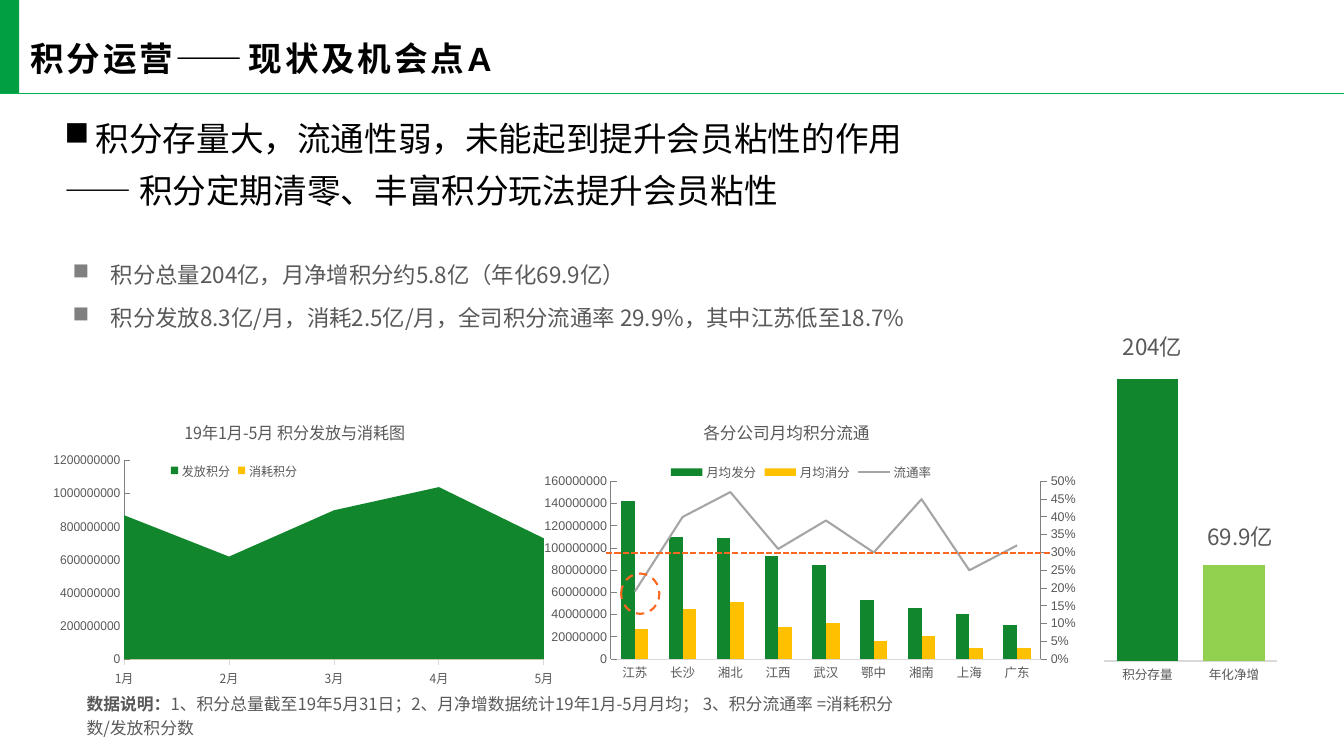
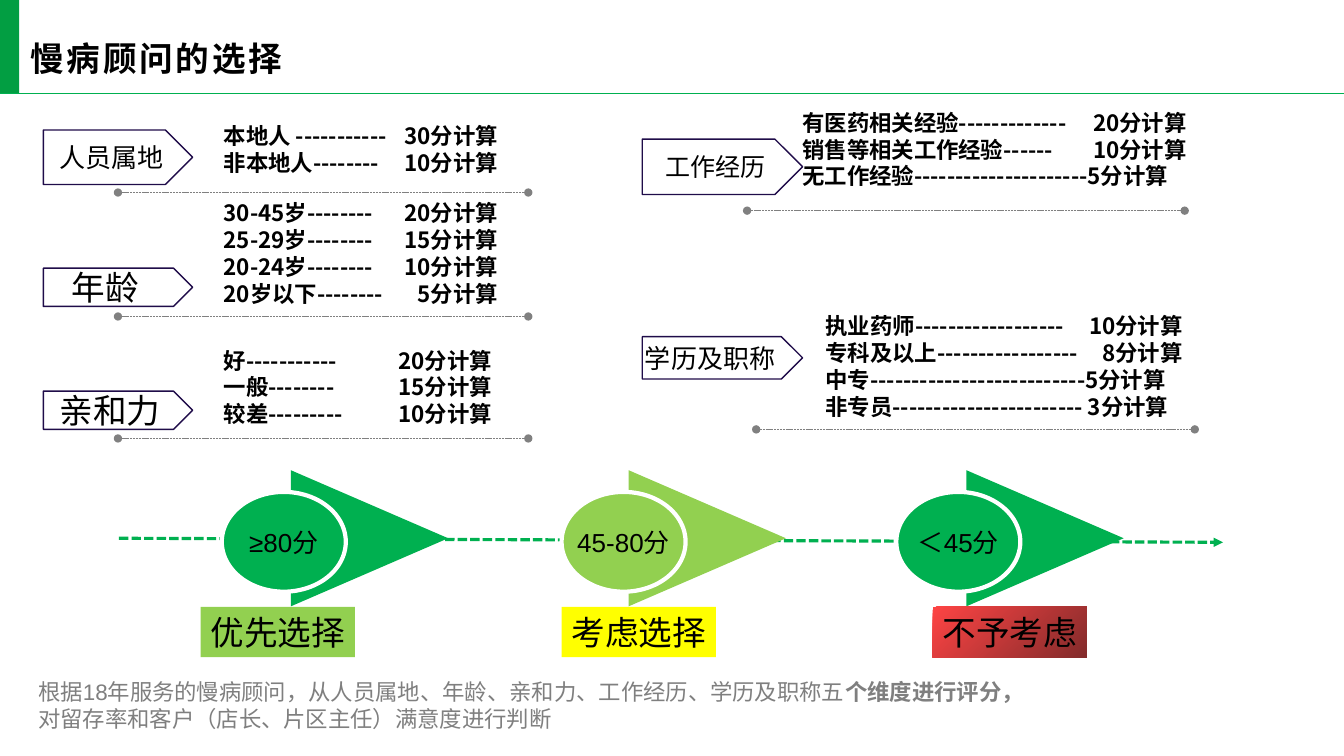
from dataclasses import dataclass

from lxml import etree
from pptx import Presentation
from pptx import util as u
from pptx.chart import data as chart_data
from pptx.dml import color
from pptx.enum import chart as charts, dml, shapes, text
from pptx.oxml import ns, parse_xml


@dataclass(frozen=True)
class Theme:
    latin: str = "Arial"
    cjk: str = "Noto Sans CJK SC"
    black: str = "000000"
    white: str = "FFFFFF"
    ink: str = "595959"
    grey: str = "808080"
    note: str = "7F7F7F"
    pale: str = "D9D9D9"
    band: str = "029E42"
    green: str = "00B050"
    lime: str = "92D050"
    deep: str = "11862D"
    gold: str = "FFC000"
    silver: str = "A5A5A5"
    orange: str = "FA6720"
    navy: str = "1F0C49"
    yellow: str = "FFFF00"
    red: str = "FE4444"
    maroon: str = "832B2B"
    heading: float = 24
    label: float = 18.6
    body: float = 16
    small: float = 12
    tick: float = 9


T = Theme()
CENTER = text.PP_ALIGN.CENTER
DASH, SYS_DASH = dml.MSO_LINE.DASH, dml.MSO_LINE.SQUARE_DOT
TICK = charts.XL_TICK_MARK

HEADLINE = ["积分存量大，流通性弱，未能起到提升会员粘性的作用", "—— 积分定期清零、丰富积分玩法提升会员粘性"]
FACTS = ["积分总量204亿，月净增积分约5.8亿（年化69.9亿）",
         "积分发放8.3亿/月，消耗2.5亿/月，全司积分流通率 29.9%，其中江苏低至18.7%"]
DATA_NOTE = [[("数据说明：", True),
              ("1、积分总量截至19年5月31日；2、月净增数据统计19年1月-5月月均； 3、积分流通率 =消耗积分数/发放积分数", False)]]
BAR_LABELS = [("204亿", 10.84, 3.26), ("69.9亿", 11.71, 5.14)]

MONTHS = ["1月", "2月", "3月", "4月", "5月"]
MONTHLY = [("发放积分", [870000000, 620000000, 900000000, 1040000000, 730000000]),
           ("消耗积分", [380000000, 180000000, 240000000, 210000000, 230000000])]
BRANCHES = ["江苏", "长沙", "湘北", "江西", "武汉", "鄂中", "湘南", "上海", "广东"]
BRANCH_FLOW = [
    ("月均发分", [142000000, 110000000, 109000000, 93000000, 85000000, 53000000, 46000000, 41000000, 31000000]),
    ("月均消分", [27000000, 45000000, 51000000, 29000000, 33000000, 16000000, 21000000, 10000000, 10000000]),
    ("流通率", [0.19, 0.4, 0.47, 0.31, 0.39, 0.3, 0.45, 0.25, 0.32])]
STOCK = [("Series 1", [100, 34])]

CRITERIA = [
    dict(name="人员属地", tag=(0.43, 1.29, 1.48, 0.54), size=T.label, trim=0, rule=(1.17, 5.24, 1.91),
         at=(2.12, 1.16, 3.55, 0.64), tab=2.72, rows=["本地人 -----------\t30分计算", "非本地人--------\t10分计算"]),
    dict(name="年龄", tag=(0.43, 2.66, 1.48, 0.38), size=T.heading, trim=0.16, rule=(1.17, 5.24, 3.14),
         at=(2.12, 1.93, 3.55, 1.18), tab=2.72,
         rows=["30-45岁--------\t20分计算", "25-29岁--------\t15分计算",
               "20-24岁--------\t10分计算", "20岁以下--------\t5分计算"]),
    dict(name="亲和力", tag=(0.43, 3.88, 1.48, 0.38), size=T.heading, trim=0.06, rule=(1.17, 5.24, 4.35),
         at=(2.12, 3.39, 3.55, 0.91), tab=2.66,
         rows=["好-----------\t20分计算", "一般--------\t15分计算", "较差---------\t10分计算"]),
    dict(name="工作经历", tag=(6.37, 1.38, 1.59, 0.55), size=17.9, trim=0, rule=(7.41, 11.75, 2.09),
         at=(7.86, 1.03, 4.19, 0.91), tab=3.81,
         rows=["有医药相关经验-------------\t20分计算", "销售等相关工作经验------\t10分计算",
               "无工作经验---------------------5分计算"]),
    dict(name="学历及职称", tag=(6.37, 3.34, 1.59, 0.42), size=T.label, trim=0.14, rule=(7.5, 11.85, 4.26),
         at=(8.09, 3.05, 3.98, 1.18), tab=3.54,
         rows=["执业药师------------------\t10分计算", "专科及以上-----------------\t8分计算",
               "中专--------------------------5分计算", "非专员----------------------- 3分计算"]),
]
GRADES = [("≥80分", 2.2, T.green, "优先选择", 1.99, [T.lime]),
          ("45-80分", 5.57, T.lime, "考虑选择", 5.57, [T.yellow]),
          ("＜45分", 8.89, T.green, "不予考虑", 9.25, [T.red, T.maroon])]
FIRST_WEDGE, WEDGE_STEP = 2.99, 3.35
SCORE_NOTE = [[("根据18年服务的慢病顾问，从人员属地、年龄、亲和力、工作经历、学历及职称五", False),
               ("个维度进行评分，", True)],
              [("对留存率和客户（店长、片区主任）满意度进行判断", False)]]


def rgb(value):
    return color.RGBColor.from_string(value)


def inches(values):
    return [u.Inches(value) for value in values]


def style(font, size, tint, name, bold=None):
    font.size, font.name, font.bold = u.Pt(size), name, bold
    font.color.rgb = rgb(tint)


def element(tag, **attributes):
    item = etree.Element(ns.qn(tag))
    for key, value in attributes.items():
        item.set(key, str(value))
    return item


def add_bullet(para, indent, tint):
    props = para._p.get_or_add_pPr()
    props.set("marL", str(u.Inches(indent)))
    props.set("indent", str(-u.Inches(indent)))
    shade = element("a:buClr")
    shade.append(element("a:srgbClr", val=tint))
    props.extend([shade, element("a:buChar", char="■")])


def add_tab(para, position):
    stops = element("a:tabLst")
    stops.append(element("a:tab", pos=u.Inches(position), algn="r"))
    para._p.get_or_add_pPr().append(stops)


def write(shape, paras, size, tint, name=T.cjk, bold=None, align=None, spacing=None, before=0,
          bullets=(), tab=None, insets=(0.1, 0.05, 0.1, 0.05), wrap=True, middle=False):
    frame = shape.text_frame
    frame.word_wrap = wrap
    frame.margin_left, frame.margin_top, frame.margin_right, frame.margin_bottom = inches(insets)
    frame.vertical_anchor = text.MSO_ANCHOR.MIDDLE if middle else text.MSO_ANCHOR.TOP
    for index, content in enumerate(paras):
        para = frame.add_paragraph() if index else frame.paragraphs[0]
        if index < len(bullets):
            add_bullet(para, *bullets[index])
        if tab and "\t" in content:
            add_tab(para, tab)
        para.alignment, para.line_spacing = align, spacing
        if index and before:
            para.space_before = u.Pt(before)
        style(para.font, size, tint, name, bold)
        for words, strong in [(content, None)] if isinstance(content, str) else content:
            span = para.add_run()
            span.text = words
            if strong is not None:
                span.font.bold = strong
    return frame


def add_text(page, at, paras, size, tint, **options):
    return write(page.shapes.add_textbox(*inches(at)), paras, size, tint, **options)


def add_shape(page, kind, at, fills=(), line=None, width=1, dash=None):
    shape = page.shapes.add_shape(kind, *inches(at))
    shape.shadow.inherit = False
    if len(fills) == 2:
        shape.fill.gradient()
        shape.fill.gradient_angle = 315
        for stop, tint in zip(shape.fill.gradient_stops, fills):
            stop.color.rgb = rgb(tint)
    elif fills:
        shape.fill.solid()
        shape.fill.fore_color.rgb = rgb(fills[0])
    else:
        shape.fill.background()
    if line:
        shape.line.color.rgb, shape.line.width = rgb(line), u.Pt(width)
        shape.line.dash_style = dash
    else:
        shape.line.fill.background()
    return shape


def add_line(page, ends, tint, width, dash=None, head=None, tail=None):
    line = page.shapes.add_connector(shapes.MSO_CONNECTOR.STRAIGHT, *inches(ends))
    line.line.color.rgb, line.line.width = rgb(tint), u.Pt(width)
    line.line.dash_style = dash
    props = line.element.find(ns.qn("p:spPr"))
    for tag, kind in (("a:headEnd", head), ("a:tailEnd", tail)):
        if kind:
            props.find(ns.qn("a:ln")).append(element(tag, type=kind))
    props.append(element("a:effectLst"))


def add_page(deck, title):
    page = deck.slides.add_slide(deck.slide_layouts[6])
    add_shape(page, shapes.MSO_SHAPE.RECTANGLE, (0, -0.01, 0.19, 0.94), [T.band])
    add_line(page, (0, 0.93, 13.33, 0.93), T.green, 1)
    frame = add_text(page, (0.19, 0.22, 5.88, 0.71), [title], T.heading, T.black, name=T.latin,
                     bold=True, insets=(0.11, 0.04, 0.08, 0.04), middle=True)
    frame.paragraphs[0]._p.pPr.find(ns.qn("a:defRPr")).set("spc", "200")
    return page


def place(parent, index, **edges):
    for old in parent.findall(ns.qn("c:layout")):
        parent.remove(old)
    layout, manual = element("c:layout"), element("c:manualLayout")
    layout.append(manual)
    if "w" in edges:
        manual.append(element("c:layoutTarget", val="inner"))
    for key in ("x", "y"):
        manual.append(element(f"c:{key}Mode", val="edge"))
    for key, value in edges.items():
        manual.append(element(f"c:{key}", val=value))
    parent.insert(index, layout)


def style_axis(axis, tint, tick, name):
    axis.has_major_gridlines = False
    axis.major_tick_mark, axis.minor_tick_mark = tick, TICK.NONE
    axis.format.line.color.rgb, axis.format.line.width = rgb(tint), u.Pt(0.75)
    style(axis.tick_labels.font, T.tick, T.ink, name)


def add_chart(page, kind, at, plot, cats, series, top=None, step=None, cat_tick=TICK.NONE,
              cat_font=T.cjk, title=None, title_x=0, legend_x=0):
    data = chart_data.CategoryChartData(number_format="General")
    data.categories = cats
    for name, values in series:
        data.add_series(name, values)
    chart = page.shapes.add_chart(kind, *inches(at), data).chart
    style(chart.font, 10, T.ink, T.latin)
    root = chart.element.find(ns.qn("c:chart"))
    clear = element("c:spPr")
    clear.append(element("a:noFill"))
    clear.append(element("a:ln"))
    clear[1].append(element("a:noFill"))
    root.addnext(clear)
    place(root.find(ns.qn("c:plotArea")), 0, **dict(zip("xywh", plot)))
    style_axis(chart.category_axis, T.pale, cat_tick, cat_font)
    values = chart.value_axis
    style_axis(values, T.grey, TICK.INSIDE, T.latin)
    values.minimum_scale, values.maximum_scale, values.major_unit = 0, top, step
    chart.has_title = bool(title)
    chart.has_legend = bool(title)
    if title:
        para = chart.chart_title.text_frame.paragraphs[0]
        para.add_run().text = title
        style(para.font, T.small, T.ink, T.cjk, False)
        place(root.find(ns.qn("c:title")), 1, x=title_x, y=0.1)
        chart.legend.position = charts.XL_LEGEND_POSITION.BOTTOM
        chart.legend.include_in_layout = False
        style(chart.legend.font, T.tick, T.ink, T.latin)
        place(root.find(ns.qn("c:legend")), 1, x=legend_x, y=0.24)
    for item, tint in zip(chart.plots[0].series, (T.deep, T.gold)):
        item.format.fill.solid()
        item.format.fill.fore_color.rgb = rgb(tint)
    chart.plots[0].vary_by_categories = False
    return chart


def move_rate_to_line(chart):
    rate = chart.plots[0].series[2]
    rate.format.line.color.rgb, rate.format.line.width = rgb(T.silver), u.Pt(1.5)
    ser = rate._element
    for old in ser.findall(ns.qn("c:invertIfNegative")):
        ser.remove(old)
    marker = element("c:marker")
    marker.append(element("c:symbol", val="none"))
    ser.find(ns.qn("c:spPr")).addnext(marker)
    ser.append(element("c:smooth", val=0))
    area = chart.element.find(".//" + ns.qn("c:plotArea"))
    line = element("c:lineChart")
    line.extend([element("c:grouping", val="standard"), element("c:varyColors", val=0), ser,
                 element("c:marker", val=1), element("c:axId", val=50010), element("c:axId", val=50020)])
    area.find(ns.qn("c:barChart")).addnext(line)
    names = ns.nsdecls("c", "a")
    area.find(ns.qn("c:valAx")).addnext(parse_xml(
        f'<c:valAx {names}><c:axId val="50020"/><c:scaling><c:orientation val="minMax"/>'
        '<c:max val="0.5"/><c:min val="0"/></c:scaling><c:delete val="0"/><c:axPos val="r"/>'
        '<c:numFmt formatCode="0%" sourceLinked="0"/><c:majorTickMark val="out"/>'
        '<c:minorTickMark val="none"/><c:tickLblPos val="nextTo"/><c:spPr><a:ln w="9525"><a:solidFill>'
        f'<a:srgbClr val="{T.grey}"/></a:solidFill></a:ln></c:spPr><c:txPr><a:bodyPr/><a:p><a:pPr>'
        f'<a:defRPr sz="{T.tick * 100}"><a:solidFill><a:srgbClr val="{T.ink}"/></a:solidFill>'
        f'<a:latin typeface="{T.latin}"/></a:defRPr></a:pPr></a:p></c:txPr><c:crossAx val="50010"/>'
        '<c:crosses val="max"/><c:crossBetween val="between"/><c:majorUnit val="0.05"/></c:valAx>'))
    area.find(ns.qn("c:valAx")).addnext(parse_xml(
        f'<c:catAx {names}><c:axId val="50010"/><c:scaling><c:orientation val="minMax"/></c:scaling>'
        '<c:delete val="1"/><c:axPos val="b"/><c:crossAx val="50020"/><c:crosses val="autoZero"/></c:catAx>'))


def build_points(deck):
    page = add_page(deck, "积分运营——现状及机会点A")
    add_text(page, (0.76, 6.79, 8.31, 0.58), DATA_NOTE, T.small, T.ink, spacing=1.2)
    add_text(page, (0.54, 1, 9.15, 1.15), HEADLINE, T.heading, T.black, spacing=1.3,
             bullets=[(0.31, T.black)])
    add_text(page, (0.59, 2.49, 10.41, 1.18), FACTS, T.body, T.ink, spacing=1.1, before=10,
             bullets=[(0.38, T.grey)] * 2, insets=(0.13, 0.07, 0.13, 0.07))
    kinds = charts.XL_CHART_TYPE
    monthly = add_chart(page, kinds.AREA, (0.53, 3.8, 4.96, 3.08), (0.1, 0.25, 0.88, 0.64), MONTHS, MONTHLY,
                        top=1200000000, step=200000000, cat_tick=TICK.OUTSIDE,
                        title="19年1月-5月 积分发放与消耗图", title_x=0.22, legend_x=0.19)
    monthly.element.find(".//" + ns.qn("c:crossBetween")).set("val", "midCat")
    stock = add_chart(page, kinds.COLUMN_CLUSTERED, (10.75, 2.95, 2.02, 4.01), (0.1, 0.05, 0.85, 0.85),
                      ["积分存量", "年化净增"], STOCK, top=122)
    stock.value_axis.visible = False
    stock.plots[0].gap_width, stock.plots[0].overlap = 41, -47
    for index, tint in enumerate((T.deep, T.lime)):
        fill = stock.plots[0].series[0].points[index].format.fill
        fill.solid()
        fill.fore_color.rgb = rgb(tint)
    for label, left, top in BAR_LABELS:
        add_text(page, (left, top, 1.18, 0.37), [label], T.body, T.ink, align=CENTER)
    flow = add_chart(page, kinds.COLUMN_CLUSTERED, (5.4, 3.8, 5.59, 3.15), (0.11, 0.31, 0.77, 0.56),
                     BRANCHES, BRANCH_FLOW, top=160000000, step=20000000, cat_font=T.latin,
                     title="各分公司月均积分流通", title_x=0.27, legend_x=0.21)
    flow.plots[0].gap_width = 150
    move_rate_to_line(flow)
    add_line(page, (6.01, 5.49, 10.43, 5.49), T.orange, 1.5, SYS_DASH)
    add_shape(page, shapes.MSO_SHAPE.OVAL, (6.16, 5.69, 0.38, 0.4), line=T.orange, width=1.5, dash=DASH)


def build_advisers(deck):
    page = add_page(deck, "慢病顾问的选择")
    kinds = shapes.MSO_SHAPE
    add_line(page, (1.18, 5.34, 12.13, 5.38), T.green, 2.25, SYS_DASH, tail="triangle")
    for index, (score, oval_x, tint, verdict, verdict_x, fills) in enumerate(GRADES):
        wedge_x = FIRST_WEDGE + index * WEDGE_STEP
        wedge = add_shape(page, kinds.ISOSCELES_TRIANGLE, (wedge_x, 4.56, 1.35, 1.56), [tint])
        wedge.rotation = 90
        oval = add_shape(page, kinds.OVAL, (oval_x, 4.88, 1.23, 0.99), [tint], T.white, 3)
        box = add_shape(page, kinds.RECTANGLE, (verdict_x, 6.02, 1.53, 0.5), fills)
        for shape, words, size in ((oval, score, T.label), (box, verdict, T.heading)):
            write(shape, [words], size, T.black, name=T.latin, align=CENTER, insets=(0, 0, 0, 0),
                  wrap=False, middle=True)
    for item in CRITERIA:
        tag = add_shape(page, kinds.PENTAGON, item["tag"], line=T.navy)
        write(tag, [item["name"]], item["size"], T.black, name=T.latin, align=CENTER,
              insets=(0, 0, item["trim"], 0), middle=True)
        left, right, y = item["rule"]
        add_line(page, (left, y, right, y), T.grey, 0.5, SYS_DASH, "oval", "oval")
        add_text(page, item["at"], item["rows"], T.body, T.black, bold=True, tab=item["tab"])
    add_text(page, (0.28, 6.68, 12.49, 0.64), SCORE_NOTE, T.body, T.note, name=T.latin)


def main():
    deck = Presentation()
    deck.slide_width, deck.slide_height = inches((13.33, 7.5))
    build_points(deck)
    build_advisers(deck)
    deck.save("out.pptx")


if __name__ == "__main__":
    main()
